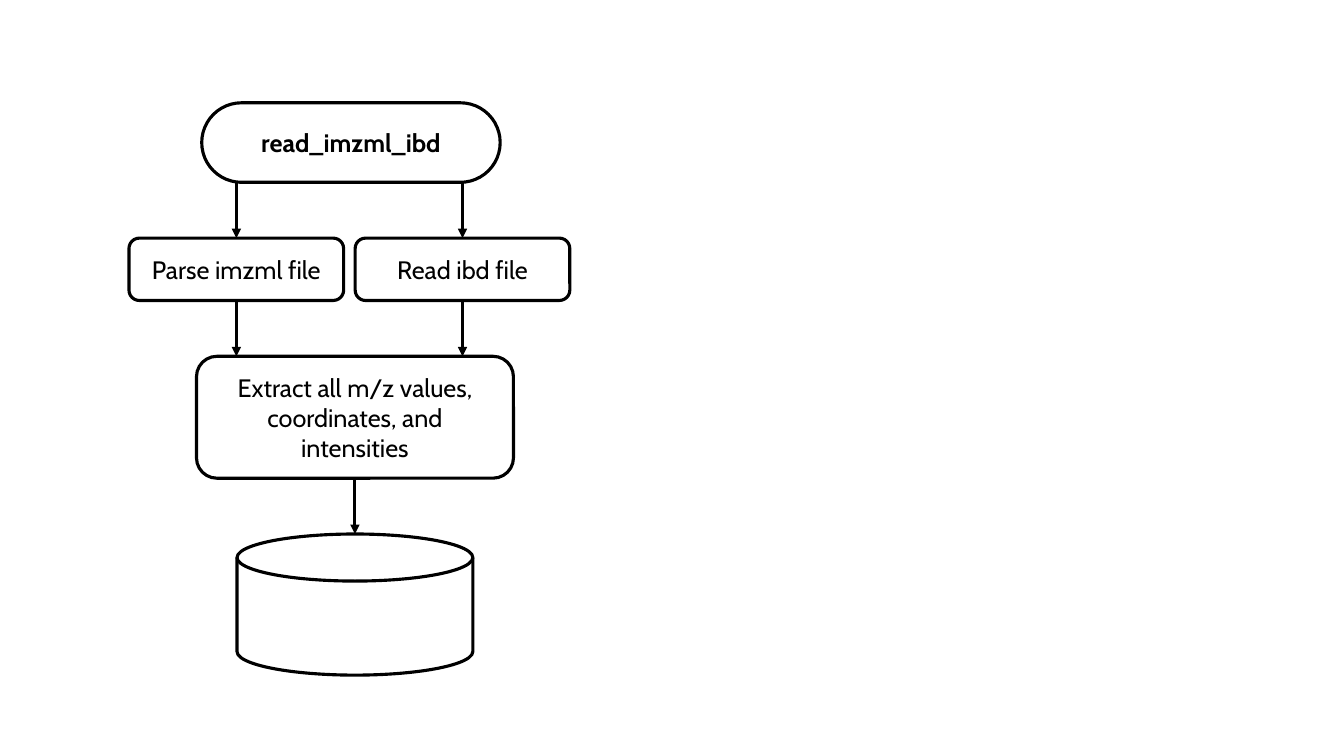
import dataclasses

import lxml.etree
import pptx
import pptx.dml.color
import pptx.enum.shapes
import pptx.enum.text
import pptx.oxml.ns
import pptx.util

SHAPES = pptx.enum.shapes.MSO_SHAPE
TOP, BOTTOM = 0, 2


@dataclasses.dataclass(frozen=True)
class Theme:
    """Colours, font and sizes of the slide."""
    ink: pptx.dml.color.RGBColor = pptx.dml.color.RGBColor(0, 0, 0)
    font: str = "Cabin"
    text_size: int = pptx.util.Pt(18)
    line_width: int = pptx.util.Pt(2.25)


@dataclasses.dataclass(frozen=True)
class Box:
    """An area that yields smaller areas given in percent of itself."""
    left: float
    top: float
    width: float
    height: float

    def inner(self, left, top, width, height):
        """Return the inner box at the given percentages."""
        return Box(
            round(self.left + self.width * left / 100),
            round(self.top + self.height * top / 100),
            round(self.width * width / 100),
            round(self.height * height / 100),
        )


THEME = Theme()


def style_line(item):
    """Give a shape or connector the outline of the theme."""
    item.line.color.rgb = THEME.ink
    item.line.width = THEME.line_width


def add_step(slide, box, text="", kind=SHAPES.ROUNDED_RECTANGLE, bold=None):
    """Draw one outlined step with centred text."""
    shape = slide.shapes.add_shape(kind, box.left, box.top, box.width, box.height)
    shape.shadow.inherit = False
    shape.fill.background()
    style_line(shape)
    if text:
        frame = shape.text_frame
        frame.word_wrap = True
        frame.vertical_anchor = pptx.enum.text.MSO_ANCHOR.MIDDLE
        paragraph = frame.paragraphs[0]
        paragraph.alignment = pptx.enum.text.PP_ALIGN.CENTER
        run = paragraph.add_run()
        run.text = text
        run.font.name = THEME.font
        run.font.size = THEME.text_size
        run.font.bold = bold
        run.font.color.rgb = THEME.ink
    return shape


def add_arrow(slide, source, target, axis):
    """Draw a downward arrow from source to target, centred on the axis shape."""
    x = axis.left + axis.width // 2
    arrow = slide.shapes.add_connector(
        pptx.enum.shapes.MSO_CONNECTOR.STRAIGHT,
        x, source.top + source.height, x, target.top,
    )
    style_line(arrow)
    qualified = pptx.oxml.ns.qn
    properties = arrow._element.spPr
    outline = properties.find(qualified("a:ln"))
    lxml.etree.SubElement(outline, qualified("a:tailEnd"), type="triangle")
    lxml.etree.SubElement(properties, qualified("a:effectLst"))
    return arrow


def add_reading_flow(slide, box):
    """Draw the flow from the function call to the stored data."""
    gap = 9.75
    start_height, file_height, extract_height, store_height = 13.9, 10.9, 21.3, 24.65
    file_top = start_height + gap
    extract_top = file_top + file_height + gap
    store_top = extract_top + extract_height + gap
    file_width = 48.7

    start = add_step(slide, box.inner(16.5, 0, 67.7, start_height),
                     "read_imzml_ibd", bold=True)
    start.adjustments[0] = 0.5
    files = [
        add_step(slide, box.inner(left, file_top, file_width, file_height), text)
        for left, text in ((0, "Parse imzml file"),
                           (100 - file_width, "Read ibd file"))
    ]
    extract = add_step(slide, box.inner(15.3, extract_top, 71.9, extract_height),
                       "Extract all m/z values, coordinates, and intensities")
    store = add_step(slide, box.inner(24.5, store_top, 53.5, store_height),
                     kind=SHAPES.FLOWCHART_MAGNETIC_DISK)

    for file_step in files:
        add_arrow(slide, start, file_step, file_step).end_connect(file_step, TOP)
    for file_step in files:
        add_arrow(slide, file_step, extract, file_step).begin_connect(file_step, BOTTOM)
    add_arrow(slide, extract, store, extract).begin_connect(extract, BOTTOM)


def main():
    """Build the slide and save it."""
    presentation = pptx.Presentation()
    presentation.slide_width = pptx.util.Inches(13.33)
    presentation.slide_height = pptx.util.Inches(7.5)
    slide = presentation.slides.add_slide(presentation.slide_layouts[6])
    page = Box(0, 0, presentation.slide_width, presentation.slide_height)
    add_reading_flow(slide, page.inner(9.6, 13.6, 32.8, 75.7))
    presentation.save("out.pptx")


if __name__ == "__main__":
    main()
